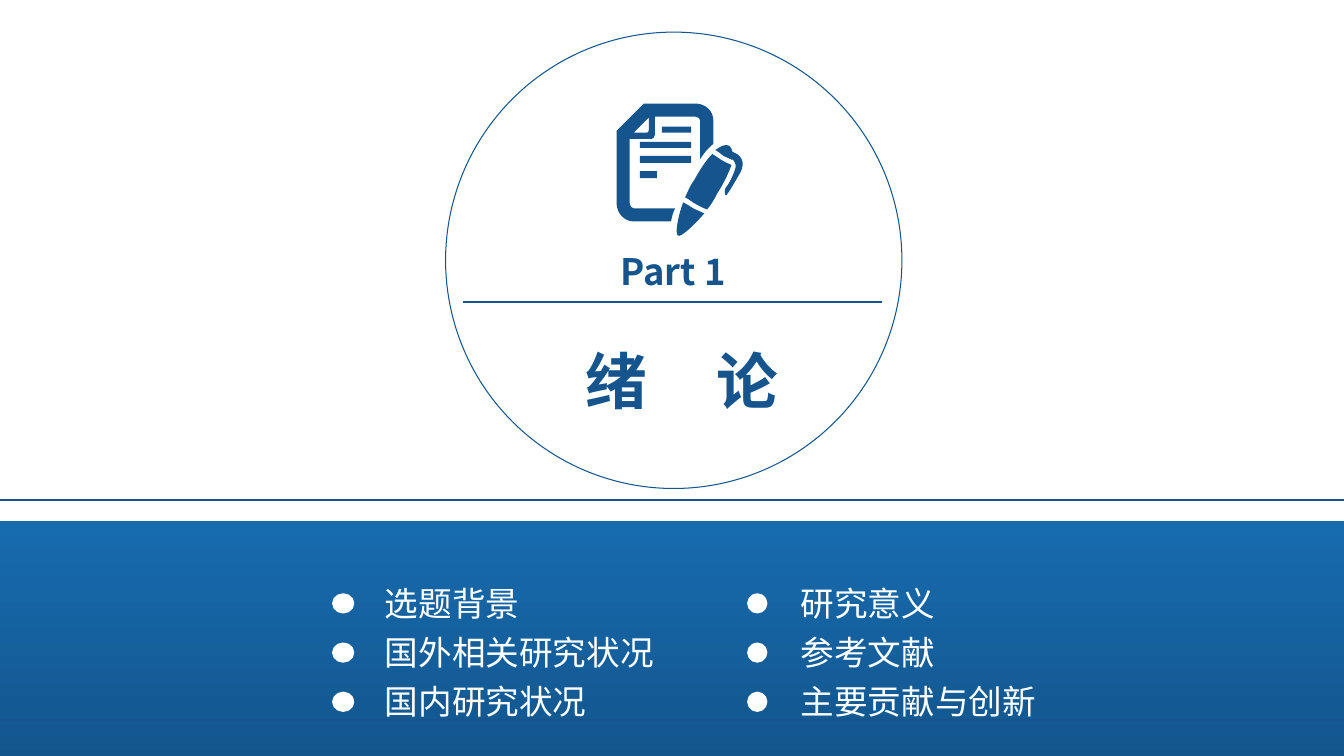
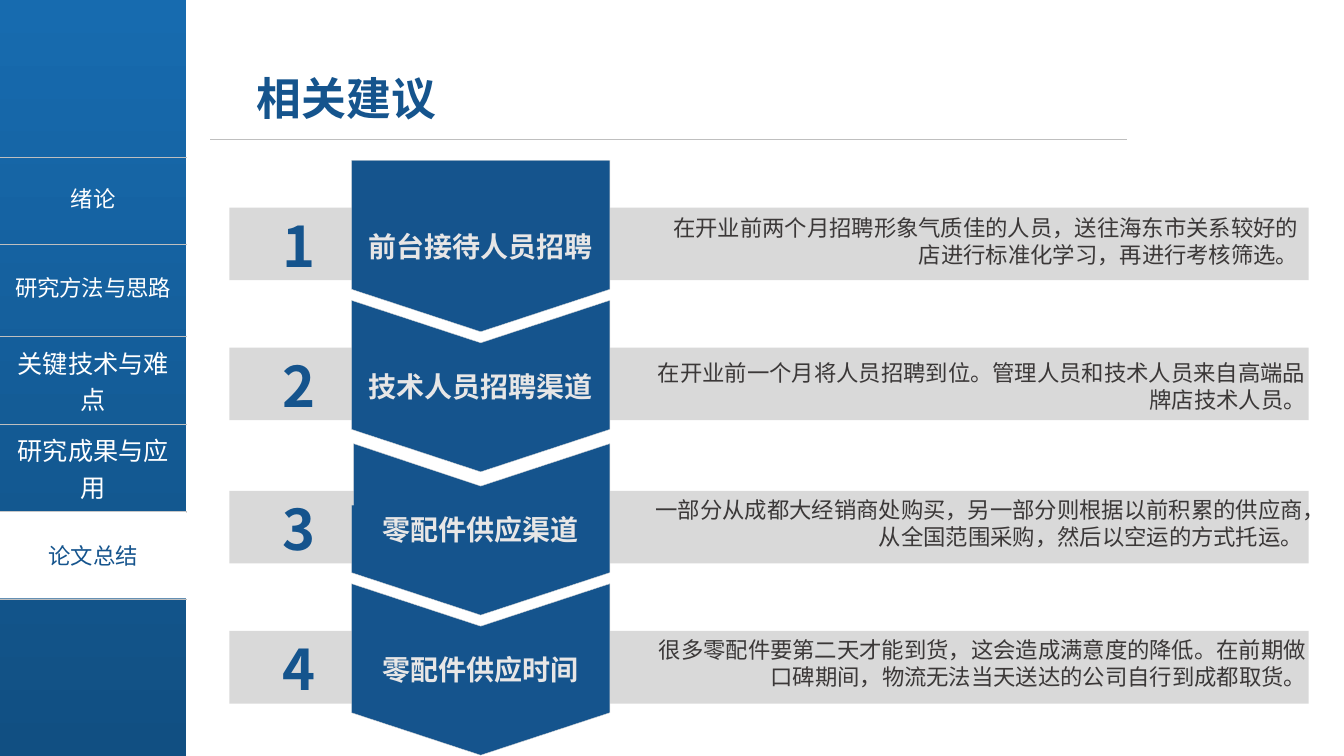
from dataclasses import dataclass

import lxml.etree
import pptx
import pptx.dml.color
import pptx.enum.shapes
import pptx.enum.text
import pptx.oxml.ns
import pptx.util

Cm = pptx.util.Cm
Pt = pptx.util.Pt
qn = pptx.oxml.ns.qn
SHAPE = pptx.enum.shapes.MSO_SHAPE
ALIGN = pptx.enum.text.PP_ALIGN
ANCHOR = pptx.enum.text.MSO_ANCHOR

FONT = "Noto Sans CJK SC"
WIDTH, HEIGHT = 33.87, 19.05
BLEED = 1.24
NAV_WIDTH = 4.7
COLORS = {
    "blue": "15548D",
    "band_top": "176BAF",
    "band_bottom": "114F82",
    "white": "FFFFFF",
    "rule": "BFBFBF",
    "strip": "D9D9D9",
    "edge": "D7D7D7",
    "label": "E7E6E6",
    "text": "3B3838",
}


@dataclass(frozen=True)
class Advice:
    top: float
    label: str
    text: str
    text_left: float
    text_top: float
    text_width: float
    dip: float = 1.07
    notch: float = 0


@dataclass(frozen=True)
class NavRow:
    text: str = ""
    height: float = 2.21


@dataclass(frozen=True)
class NavLabel:
    text: str
    top: float
    active: bool = False


@dataclass(frozen=True)
class TopicColumn:
    dot_left: float
    dot_width: float
    text_left: float
    topics: tuple[str, ...]


ADVICE = (
    Advice(5.23, "前台接待人员招聘", "在开业前两个月招聘形象气质佳的人员，送往海东市关系较好的店进行标准化学习，再进行考核筛选。",
           16.24, 5.27, 16.74, dip=0),
    Advice(8.76, "技术人员招聘渠道", "在开业前一个月将人员招聘到位。管理人员和技术人员来自高端品牌店技术人员。",
           16.24, 8.91, 16.92),
    Advice(12.37, "零配件供应渠道", "一部分从成都大经销商处购买，另一部分则根据以前积累的供应商，从全国范围采购，然后以空运的方式托运。",
           15.85, 12.37, 17.25, notch=0.05),
    Advice(15.9, "零配件供应时间", "很多零配件要第二天才能到货，这会造成满意度的降低。在前期做口碑期间，物流无法当天送达的公司自行到成都取货。",
           15.93, 15.9, 17.25),
)
NAV_ROWS = (NavRow(), NavRow(height=2.31), NavRow("关键技术与难点"), NavRow("研究成果与应用"), NavRow())
NAV_LABELS = (
    NavLabel("绪论", 3.91),
    NavLabel("研究方法与思路", 6.15),
    NavLabel("论文总结", 12.9, active=True),
)
TOPIC_COLUMNS = (
    TopicColumn(8.41, 0.48, 9.7, ("选题背景", "国外相关研究状况", "国内研究状况")),
    TopicColumn(18.87, 0.43, 20.18, ("研究意义", "参考文献", "主要贡献与创新")),
)

ICON_UNIT = 0.0254
ICON_OUTLINES = (
    ((27, 0), (78, 0), (88, 0, 96, 7, 96, 17), (96, 40), (90, 45, 87, 49, 83, 55),
     (83, 17), (83, 15, 81, 13, 78, 13), (38, 13), (38, 31), (38, 33, 36, 35, 35, 35),
     (13, 35), (13, 99), (13, 102, 15, 104, 17, 104), (58, 104),
     (56, 108, 55, 112, 54, 117), (17, 117), (8, 117, 0, 109, 0, 99), (0, 27), (27, 0)),
    ((112, 42), (113, 44, 115, 45, 115, 48), (118, 49, 122, 51, 124, 55),
     (126, 59, 125, 64, 123, 68), (119, 75, 114, 84, 109, 91),
     (107, 92, 107, 86, 108, 84), (112, 79, 115, 73, 118, 64),
     (119, 59, 116, 57, 115, 55), (115, 55, 115, 55, 115, 56),
     (112, 55, 109, 53, 106, 52), (104, 50, 101, 48, 98, 46), (104, 42, 108, 40, 112, 42)),
    ((114, 61), (111, 69, 107, 78, 100, 89), (97, 95, 94, 100, 90, 105),
     (86, 104, 83, 102, 79, 100), (75, 98, 72, 95, 68, 93),
     (71, 87, 73, 81, 77, 76), (83, 65, 89, 56, 95, 50),
     (98, 52, 101, 54, 104, 56), (107, 58, 110, 59, 114, 61)),
    ((87, 109), (75, 123, 63, 133, 61, 131), (58, 130, 60, 115, 66, 98),
     (70, 100, 73, 102, 76, 104), (80, 106, 83, 107, 87, 109)),
) + tuple(
    ((x1, y1), (x2, y1), (x2, y2), (x1, y2), (x1, y1))
    for x1, y1, x2, y2 in ((45, 23, 74, 29), (23, 67, 40, 74), (23, 52, 74, 59), (23, 38, 74, 44))
) + (
    ((17, 29), (30, 29), (31, 29, 32, 28, 32, 26), (32, 14), (17, 29)),
)


def rgb(name: str) -> pptx.dml.color.RGBColor:
    return pptx.dml.color.RGBColor.from_string(COLORS[name])


def write(p, text: str, *, size: float, color: str, bold: bool = False, align=ALIGN.LEFT,
          leading: float | None = None, tracking: float | None = None) -> None:
    p.alignment = align
    p.space_before = Pt(0)
    if leading:
        p.line_spacing = Pt(leading)
    r = p.add_run()
    r.text = text
    r.font.name = FONT
    r.font.size = Pt(size)
    r.font.bold = bold
    r.font.color.rgb = rgb(color)
    rPr = r.font._element
    lxml.etree.SubElement(rPr, qn("a:ea"), typeface=FONT)
    if tracking:
        rPr.set("spc", str(round(tracking * 100)))


def frame(sp, anchor=ANCHOR.TOP, inset_x: float = 0, inset_y: float = 0, wrap: bool = True):
    tf = sp.text_frame
    tf.auto_size = pptx.enum.text.MSO_AUTO_SIZE.NONE
    tf.word_wrap = wrap
    tf.vertical_anchor = anchor
    tf.margin_left = tf.margin_right = Cm(inset_x)
    tf.margin_top = tf.margin_bottom = Cm(inset_y)
    return tf


def place(sp, left: float, top: float, width: float, height: float) -> None:
    sp.left, sp.top, sp.width, sp.height = Cm(left), Cm(top), Cm(width), Cm(height)


def textbox(s, left: float, top: float, width: float, height: float, **options):
    return frame(s.shapes.add_textbox(Cm(left), Cm(top), Cm(width), Cm(height)), **options)


def paint(sp, fill: str | None = None, line: str | None = None, weight: float = 0.75) -> None:
    sp.shadow.inherit = False
    if fill:
        sp.fill.solid()
        sp.fill.fore_color.rgb = rgb(fill)
    else:
        sp.fill.background()
    if line:
        sp.line.color.rgb = rgb(line)
        sp.line.width = Pt(weight)
    else:
        sp.line.fill.background()


def shape(s, kind, left: float, top: float, width: float, height: float, **look):
    sp = s.shapes.add_shape(kind, Cm(left), Cm(top), Cm(width), Cm(height))
    paint(sp, **look)
    return sp


def rule(s, left: float, right: float, y: float, color: str, weight: float) -> None:
    c = s.shapes.add_connector(pptx.enum.shapes.MSO_CONNECTOR.STRAIGHT, Cm(left), Cm(y), Cm(right), Cm(y))
    c.line.color.rgb = rgb(color)
    c.line.width = Pt(weight)
    lxml.etree.SubElement(c.element.spPr, qn("a:effectLst"))


def blue_band(s, left: float, top: float, width: float, height: float) -> None:
    sp = shape(s, SHAPE.RECTANGLE, left, top, width, height)
    sp.fill.gradient()
    sp.fill.gradient_angle = 270
    for stop, name in zip(sp.fill.gradient_stops, ("band_top", "band_bottom")):
        stop.color.rgb = rgb(name)
    sp.element.getparent().insert(2, sp.element)


def curve(lines: list) -> None:
    bezier = lxml.etree.Element(qn("a:cubicBezTo"))
    lines[0].addprevious(bezier)
    for line in lines:
        bezier.append(line[0])
        line.getparent().remove(line)


def note_icon(s, left: float, top: float) -> None:
    builder = None
    for outline in ICON_OUTLINES:
        if builder is None:
            builder = s.shapes.build_freeform(*outline[0], scale=Cm(ICON_UNIT))
        else:
            builder.move_to(*outline[0])
        points = [seg[i:i + 2] for seg in outline[1:] for i in range(0, len(seg), 2)]
        builder.add_line_segments(points, close=True)
    sp = builder.convert_to_shape(Cm(left), Cm(top))
    lines = iter(list(sp.element.iter(qn("a:lnTo"))))
    for outline in ICON_OUTLINES:
        for seg in outline[1:]:
            drawn = [next(lines) for _ in range(len(seg) // 2)]
            if len(drawn) == 3:
                curve(drawn)
    paint(sp, fill="blue")


def topic_list(s, sp, column: TopicColumn) -> None:
    place(sp, column.text_left, 14.48, 7.5, 3.8)
    tf = frame(sp)
    for i, topic in enumerate(column.topics):
        shape(s, SHAPE.OVAL, column.dot_left, 14.99 + 1.24 * i, column.dot_width, 0.43,
              fill="white", line="white", weight=2.25)
        p = tf.paragraphs[0] if i == 0 else tf.add_paragraph()
        pPr = p._p.get_or_add_pPr()
        pPr.set("marL", "0")
        pPr.set("indent", "0")
        lxml.etree.SubElement(pPr, qn("a:buNone"))
        write(p, topic, size=24, color="white", leading=35)


def chevron(s, item: Advice) -> None:
    left, width, height, side, step = 8.86, 6.51, 4.32, 3.25, 1.55
    top = item.top - 1.19
    points = [(item.notch, 0), (width / 2, item.dip), (width, 0), (width, side),
              (width / 2, height), (0, side)]
    if item.notch:
        points += [(0, step), (item.notch, step)]
    emu = [(Cm(left + x), Cm(top + y)) for x, y in points]
    builder = s.shapes.build_freeform(*emu[0])
    builder.add_line_segments(emu[1:], close=True)
    sp = builder.convert_to_shape()
    paint(sp, fill="blue", line="edge", weight=0.25)
    tf = frame(sp, ANCHOR.MIDDLE, 0, 0.13)
    write(tf.paragraphs[0], item.label, size=20, color="label", bold=True, align=ALIGN.CENTER)


def nav_table(s) -> None:
    total = sum(row.height for row in NAV_ROWS)
    tbl = s.shapes.add_table(len(NAV_ROWS), 1, Cm(0), Cm(3.96), Cm(NAV_WIDTH), Cm(total)).table
    tbl.first_row = tbl.horz_banding = False
    for i, row in enumerate(NAV_ROWS):
        tbl.rows[i].height = Cm(row.height)
        cell = tbl.cell(i, 0)
        tcPr = cell._tc.get_or_add_tcPr()
        for edge in ("L", "R", "T", "B"):
            ln = lxml.etree.SubElement(tcPr, qn(f"a:ln{edge}"), w=str(Pt(1)))
            if edge in "LR":
                lxml.etree.SubElement(ln, qn("a:noFill"))
            else:
                fill = lxml.etree.SubElement(ln, qn("a:solidFill"))
                lxml.etree.SubElement(fill, qn("a:srgbClr"), val=COLORS["rule"])
        cell.fill.background()
        cell.vertical_anchor = ANCHOR.MIDDLE
        if row.text:
            write(cell.text_frame.paragraphs[0], row.text, size=18, color="white", align=ALIGN.CENTER)


def nav_label(s, label: NavLabel) -> None:
    box = (0, label.top, NAV_WIDTH, 2.18)
    options = {"anchor": ANCHOR.MIDDLE, "inset_x": 0.25, "inset_y": 0.13}
    if label.active:
        tf = frame(shape(s, SHAPE.RECTANGLE, *box, fill="white"), **options)
    else:
        tf = textbox(s, *box, **options)
    write(tf.paragraphs[0], label.text, size=16, color="blue" if label.active else "white", align=ALIGN.CENTER)


def section_slide(prs) -> None:
    s = prs.slides.add_slide(prs.slide_layouts[3])
    title, *bodies = s.placeholders
    blue_band(s, -BLEED, 13.14, WIDTH + 2 * BLEED, 7.8)
    shape(s, SHAPE.RECTANGLE, -BLEED, 12.6, WIDTH + 2 * BLEED, 5.54, line="blue", weight=1.5)
    shape(s, SHAPE.OVAL, 11.23, 0.81, 11.5, 11.5, line="blue")
    note_icon(s, 15.54, 2.61)
    rule(s, 11.66, 22.23, 7.61, "blue", 1)
    place(title, 12.78, 8.51, 8.79, 2.13)
    p = frame(title, ANCHOR.MIDDLE).paragraphs[0]
    for text, tracking in (("绪", 49.5), ("论", None)):
        write(p, text, size=44, color="blue", bold=True, align=ALIGN.CENTER, tracking=tracking)
    tf = textbox(s, 15.58, 6.28, 2.77, 1.12, anchor=ANCHOR.MIDDLE, wrap=False)
    write(tf.paragraphs[0], "Part 1", size=26, color="blue", bold=True, align=ALIGN.CENTER)
    for body, column in zip(bodies, TOPIC_COLUMNS):
        topic_list(s, body, column)


def advice_slide(prs) -> None:
    s = prs.slides.add_slide(prs.slide_layouts[5])
    title = s.shapes.title
    place(title, 6.47, 1.78, 10.13, 1.37)
    write(frame(title, ANCHOR.MIDDLE).paragraphs[0], "相关建议", size=32, color="blue", bold=True)
    rule(s, 5.3, 28.4, 3.52, "rule", 0.5)
    for number, item in enumerate(ADVICE, 1):
        shape(s, SHAPE.RECTANGLE, 5.78, item.top, 27.2, 1.83, fill="strip")
        tf = textbox(s, 6.17, item.top - 0.03, 2.72, 1.96, inset_x=0.25, inset_y=0.13)
        write(tf.paragraphs[0], str(number), size=40, color="blue", bold=True, align=ALIGN.CENTER)
        chevron(s, item)
        tf = textbox(s, item.text_left, item.text_top, item.text_width, 1.63, inset_x=0.25, inset_y=0.13)
        write(tf.paragraphs[0], item.text, size=16, color="text", align=ALIGN.RIGHT, leading=19.3)
    blue_band(s, 0, 0, NAV_WIDTH, HEIGHT)
    nav_table(s)
    for label in NAV_LABELS:
        nav_label(s, label)


def main() -> None:
    prs = pptx.Presentation()
    prs.slide_width, prs.slide_height = Cm(WIDTH), Cm(HEIGHT)
    section_slide(prs)
    advice_slide(prs)
    prs.save("out.pptx")


if __name__ == "__main__":
    main()
